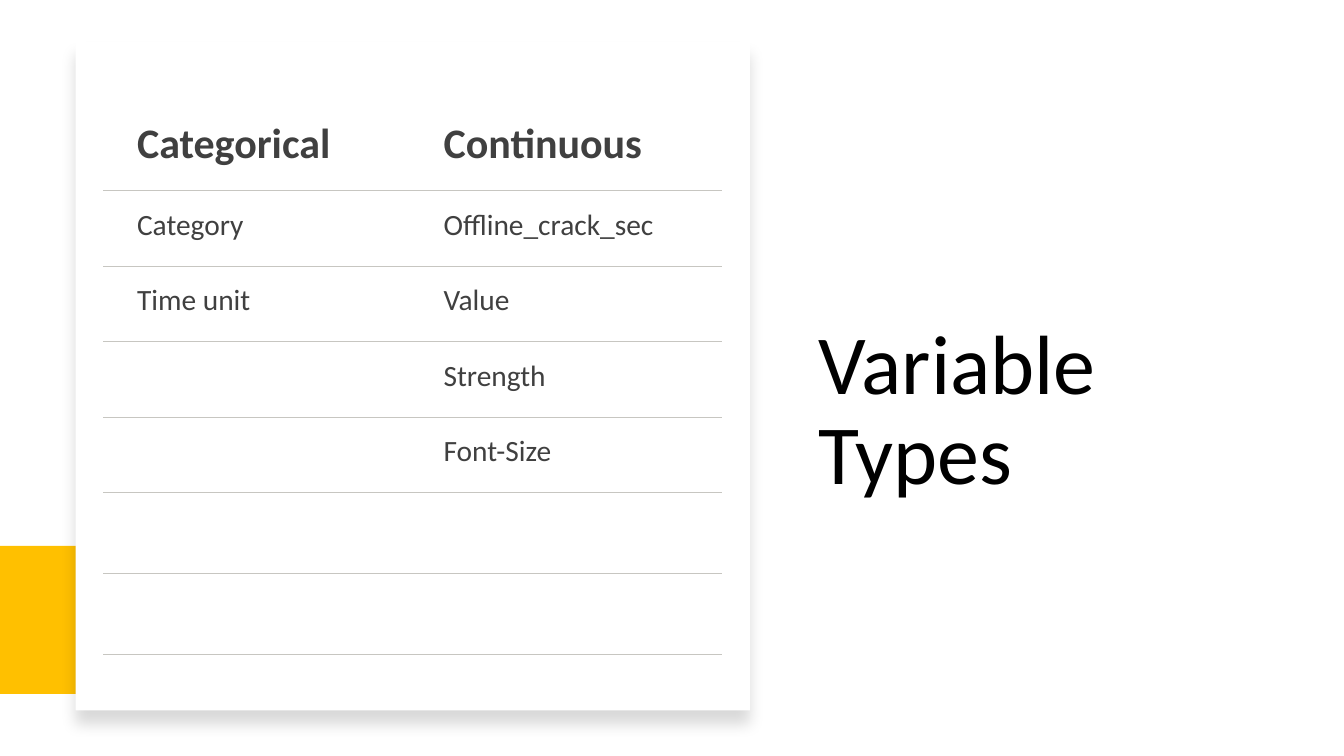
import pptx
import pptx.dml.color
import pptx.enum.shapes
import pptx.enum.text
import pptx.oxml
import pptx.util

Pt = pptx.util.Pt
NS = 'xmlns:a="http://schemas.openxmlformats.org/drawingml/2006/main"'


def rgb(value):
    return pptx.dml.color.RGBColor.from_string(value)


def add_run(p, text, size, color, bold=False):
    r = p.add_run()
    r.text = text
    r.font.name = "Calibri"
    r.font.size = Pt(size)
    r.font.bold = bold
    r.font.color.rgb = rgb(color)


prs = pptx.Presentation()
prs.slide_width, prs.slide_height = Pt(960), Pt(540)
s = prs.slides.add_slide(prs.slide_layouts[5])

# Title
title = s.shapes.title
title.left, title.top, title.width, title.height = Pt(577.5), Pt(53.3), Pt(328.3), Pt(309.6)
tf = title.text_frame
tf.word_wrap = True
tf.auto_size = pptx.enum.text.MSO_AUTO_SIZE.NONE
tf.vertical_anchor = pptx.enum.text.MSO_ANCHOR.BOTTOM
p = tf.paragraphs[0]
p.alignment = pptx.enum.text.PP_ALIGN.LEFT
p.line_spacing = 0.9
add_run(p, "Variable Types", 60, "000000")

# Yellow band behind the white card
for left, top, width, height, color in [
    (0, 390, 446.8, 105.6, "FFC000"),
    (54, 29.5, 481.7, 478, "FFFFFF"),
]:
    sp = s.shapes.add_shape(
        pptx.enum.shapes.MSO_SHAPE.RECTANGLE, Pt(left), Pt(top), Pt(width), Pt(height))
    sp.shadow.inherit = False
    sp.fill.solid()
    sp.fill.fore_color.rgb = rgb(color)
    sp.line.fill.background()

card = sp
effects = card._element.spPr.find(pptx.oxml.ns.qn("a:effectLst"))
effects.append(pptx.oxml.parse_xml(
    f'<a:outerShdw {NS} blurRad="{Pt(11)}" dist="{Pt(10)}" dir="5400000" algn="t" rotWithShape="0">'
    '<a:srgbClr val="000000"><a:alpha val="15000"/></a:srgbClr></a:outerShdw>'))

# Table of variables
rows = [
    ("Categorical", "Continuous"),
    ("Category", "Offline_crack_sec"),
    ("Time unit", "Value"),
    ("", "Strength\u00a0".strip()),
    ("", "Font-Size"),
    ("", ""),
    ("", ""),
]
row_heights = [63.8] + [53.9] * 4 + [57.8] * 2
col_widths = [219, 222.3]
frame = s.shapes.add_table(
    len(rows), len(col_widths), Pt(74.2), Pt(72.5), Pt(sum(col_widths)), Pt(sum(row_heights)))
table = frame.table
table.first_row = False
table.horz_banding = False
for col, width in zip(table.columns, col_widths):
    col.width = Pt(width)

for i, (texts, height) in enumerate(zip(rows, row_heights)):
    table.rows[i].height = Pt(height)
    for j, text in enumerate(texts):
        cell = table.cell(i, j)
        cell.margin_left, cell.margin_right = Pt(23.7), Pt(18)
        cell.margin_top = cell.margin_bottom = Pt(11.8)
        for side in ("lnT", "lnB") if i else ("lnB",):
            cell._tc.get_or_add_tcPr().append(pptx.oxml.parse_xml(
                f'<a:{side} {NS} w="{Pt(0.75)}"><a:solidFill><a:srgbClr val="C7C6C1"/>'
                f'</a:solidFill></a:{side}>'))
        cell.fill.background()
        if text:
            add_run(cell.text_frame.paragraphs[0], text, 21 if i else 30, "404040", bold=i == 0)

prs.save("out.pptx")
